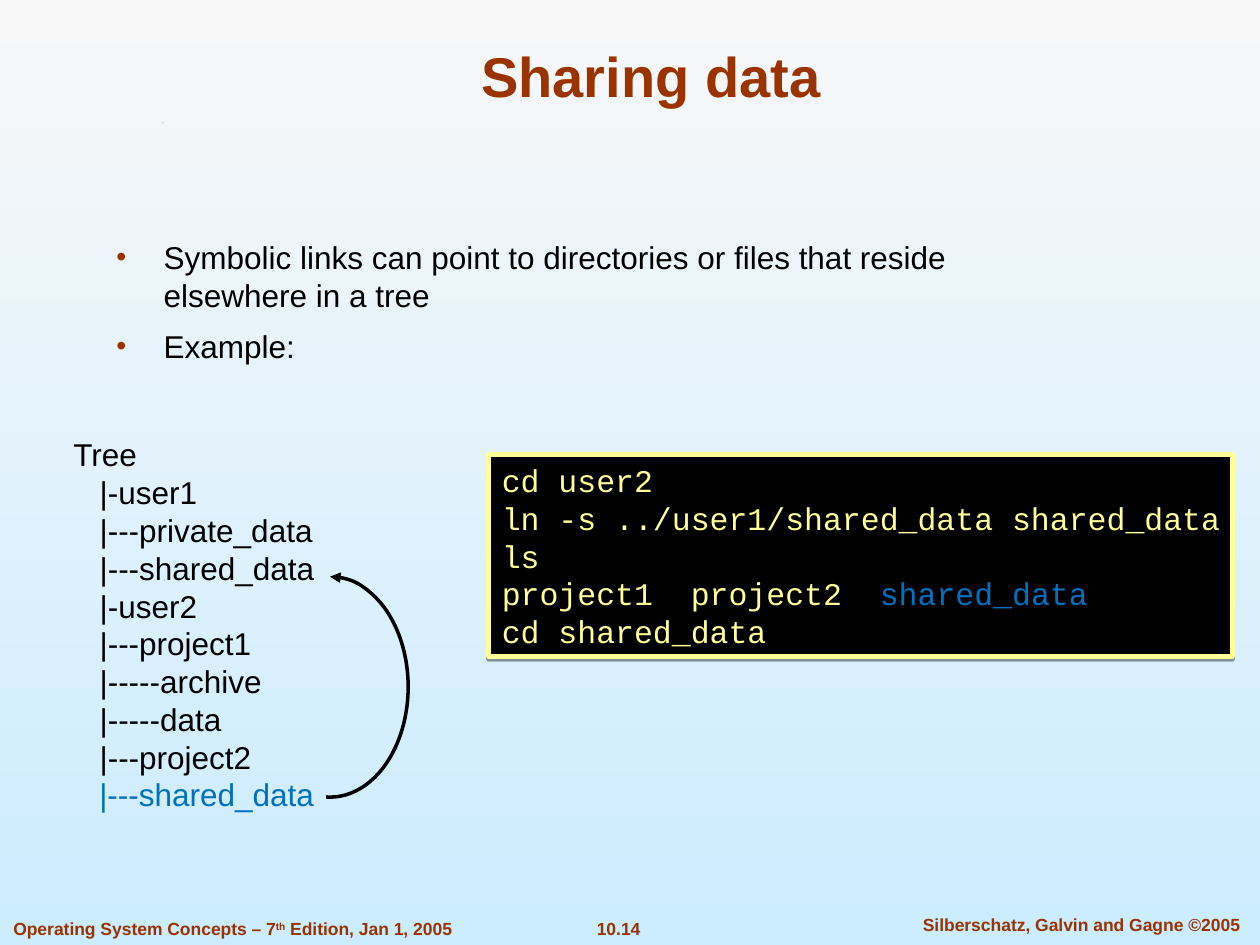
import pptx
import pptx.dml.color
import pptx.enum.shapes
import pptx.enum.text
import pptx.oxml.ns
import pptx.util
from lxml import etree

Pt = pptx.util.Pt
qn = pptx.oxml.ns.qn
ALIGN = pptx.enum.text.PP_ALIGN
SHAPES = pptx.enum.shapes.MSO_SHAPE
COLORS = {"sky_top": "F8F8F8", "sky_bottom": "CCECFF", "rust": "993300",
          "black": "000000", "blue": "0070C0", "yellow": "FFFF99"}


def rgb(name):
    return pptx.dml.color.RGBColor.from_string(COLORS[name])


def write(box, lines, size, color, font="Arial", bold=False, align=ALIGN.LEFT):
    """Fill a box with paragraphs in one style."""
    frame = box.text_frame
    frame.word_wrap = True
    frame.vertical_anchor = pptx.enum.text.MSO_ANCHOR.TOP
    frame.text = "\n".join(lines)
    for para in frame.paragraphs:
        para.alignment = align
        para.line_spacing = Pt(size * 1.2)
        for span in para.runs:
            span.font.name = font
            span.font.size = Pt(size)
            span.font.bold = bold
            span.font.color.rgb = rgb(color)
    return frame


deck = pptx.Presentation()
deck.slide_width, deck.slide_height = Pt(720), Pt(540)
page = deck.slides.add_slide(deck.slide_layouts[6])

# Background
sky = page.background.fill
sky.gradient()
sky.gradient_angle = 270
for stop, name in zip(sky.gradient_stops, ("sky_top", "sky_bottom")):
    stop.color.rgb = rgb(name)

# Small specks on the background
for left, top in ((126.72, 390.6), (93.6, 331.2), (92.88, 69.84)):
    outline = page.shapes.build_freeform(Pt(left), Pt(top + 0.5))
    outline.add_line_segments([(Pt(left + 0.5), Pt(top)),
                               (Pt(left + 0.25), Pt(top + 0.5))])
    speck = outline.convert_to_shape()
    speck.shadow.inherit = False
    speck.fill.solid()
    speck.fill.fore_color.rgb = rgb("black")
    speck.line.fill.background()

# Title
title = page.shapes.add_textbox(Pt(54.2), Pt(17.6), Pt(635.76), Pt(48.24))
write(title, ["Sharing data"], 32, "rust", bold=True, align=ALIGN.CENTER)
title.text_frame.vertical_anchor = pptx.enum.text.MSO_ANCHOR.BOTTOM

# Bullets
body = page.shapes.add_textbox(Pt(59.4), Pt(132.4), Pt(553.7), Pt(98))
points = write(body, [
    "Symbolic links can point to directories or files that reside elsewhere in a tree",
    "Example:"], 18, "black").paragraphs
points[1].space_before = Pt(7.6)
for para in points:
    props = para._p.get_or_add_pPr()
    props.set("marL", str(Pt(27)))
    props.set("indent", str(Pt(-27)))
    tint = etree.SubElement(props, qn("a:buClr"))
    etree.SubElement(tint, qn("a:srgbClr"), val=COLORS["rust"])
    etree.SubElement(props, qn("a:buSzPct"), val="90000")
    etree.SubElement(props, qn("a:buFont"), typeface="Arial")
    etree.SubElement(props, qn("a:buChar"), char="•")

# Directory tree
tree = page.shapes.add_textbox(Pt(34.9), Pt(245.3), Pt(160), Pt(201.6))
entries = write(tree, ["Tree", "|-user1", "|---private_data", "|---shared_data",
                       "|-user2", "|---project1", "|-----archive", "|-----data",
                       "|---project2"], 18, "black").paragraphs
for para in entries[1:]:
    para._p.get_or_add_pPr().set("marL", str(Pt(15)))

# Terminal
terminal = page.shapes.add_shape(SHAPES.RECTANGLE, Pt(279.36), Pt(259.92),
                                 Pt(424.8), Pt(115.2))
terminal.fill.solid()
terminal.fill.fore_color.rgb = rgb("black")
terminal.line.color.rgb = rgb("yellow")
terminal.line.width = Pt(3)
terminal.shadow.inherit = False
effects = terminal._element.spPr.find(qn("a:effectLst"))
shade = etree.SubElement(effects, qn("a:outerShdw"), blurRad="0",
                         dist=str(Pt(1.6)), dir="5400000", rotWithShape="0")
shade_color = etree.SubElement(shade, qn("a:srgbClr"), val=COLORS["black"])
etree.SubElement(shade_color, qn("a:alpha"), val="38000")
screen = write(terminal, ["cd user2", "ln -s ../user1/shared_data shared_data", "ls",
                          "project1  project2  ", "cd shared_data"],
               18, "yellow", font="Courier New")
screen.margin_left = Pt(7.4)
screen.margin_right = 0
link = screen.paragraphs[3].add_run()
link.text = "shared_data"
link.font.name = "Courier New"
link.font.size = Pt(18)
link.font.color.rgb = rgb("blue")

# Symbolic link and its curved arrow
alias = page.shapes.add_textbox(Pt(49.68), Pt(439.2), Pt(150), Pt(30))
write(alias, ["|---shared_data"], 18, "blue")
curve = page.shapes.add_shape(SHAPES.ARC, Pt(144), Pt(329.5), Pt(89.28), Pt(126))
curve.adjustments[0] = 162  # 270 degrees
curve.adjustments[1] = 55.2  # 92 degrees
curve.shadow.inherit = False
curve.fill.background()
curve.line.color.rgb = rgb("black")
curve.line.width = Pt(2)
etree.SubElement(curve.line._get_or_add_ln(), qn("a:headEnd"), type="triangle")

# Footer
for left, top, width, words, align in (
        (0.5, 521, 270, "Operating System Concepts – 7th Edition, Jan 1, 2005", ALIGN.LEFT),
        (315.36, 521, 76.32, "10.14", ALIGN.CENTER),
        (511, 518.8, 213.84, "Silberschatz, Galvin and Gagne ©2005", ALIGN.CENTER)):
    box = page.shapes.add_textbox(Pt(left), Pt(top), Pt(width), Pt(19.44))
    para = write(box, [words], 10, "rust", bold=True, align=align).paragraphs[0]
    if "7th" in words:
        before, after = words.split("th", 1)
        para.runs[0].text = before
        for part in ("th", after):
            span = para.add_run()
            span.text = part
            span.font.name = "Arial"
            span.font.size = Pt(10)
            span.font.bold = True
            span.font.color.rgb = rgb("rust")
            if part == "th":
                span.font._element.set("baseline", "30000")

deck.save("out.pptx")
